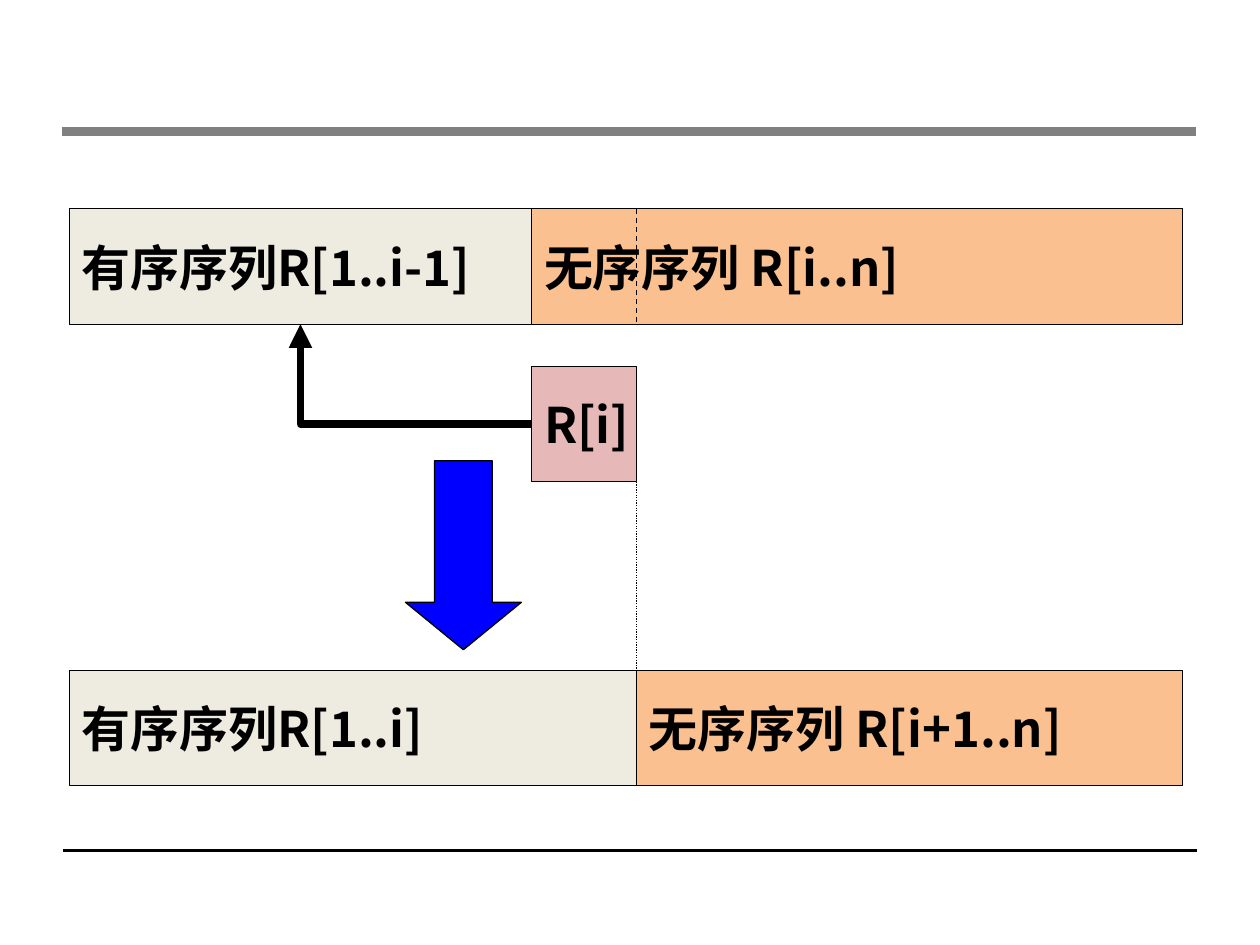
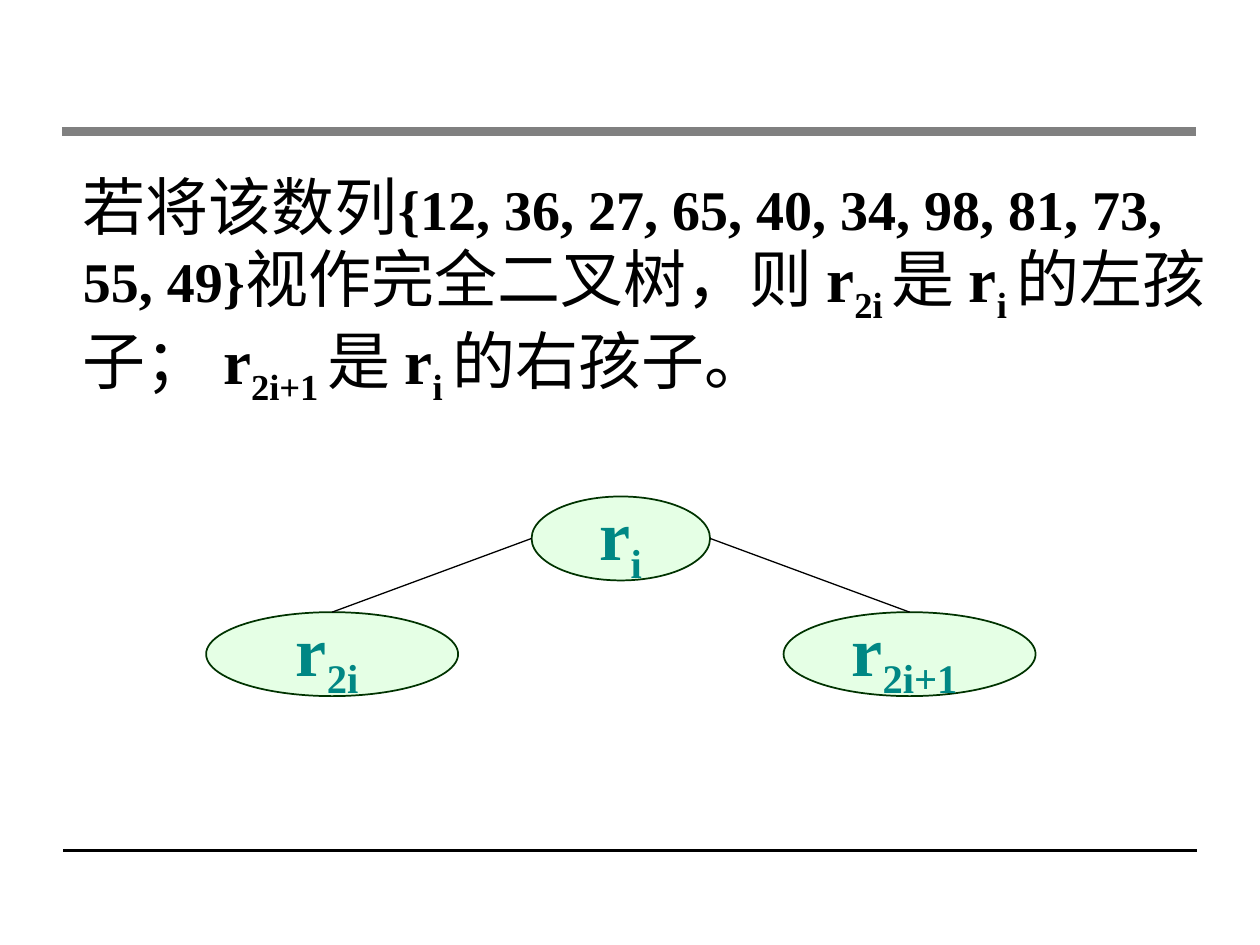
from dataclasses import dataclass

from pptx import Presentation
from pptx.dml.color import RGBColor as RGB
from pptx.enum.dml import MSO_LINE as Dash
from pptx.enum.shapes import MSO_CONNECTOR as Link, MSO_SHAPE as Form
from pptx.enum.text import MSO_ANCHOR as Anchor, MSO_AUTO_SIZE as Auto, PP_ALIGN as Align
from pptx.oxml.ns import qn
from pptx.oxml.xmlchemy import OxmlElement as Node
from pptx.util import Pt


@dataclass(frozen=True)
class Theme:
    black: str = "000000"
    gray: str = "808080"
    sand: str = "EEECE1"
    peach: str = "FAC090"
    rose: str = "E6B9B8"
    blue: str = "0000FF"
    mint: str = "CCFFCC"
    pine: str = "003300"
    teal: str = "008784"
    sans: str = "Noto Sans CJK SC"
    serif: str = "Times New Roman"
    cell: int = 28
    list: int = 32
    body: int = 36
    node: int = 40


T = Theme()


def write(para, runs, font, color):
    """Add runs given as (text, size, bold, subscript)."""
    for text, size, bold, sub in runs:
        run = para.add_run()
        run.text = text
        run.font.size, run.font.bold, run.font.name = Pt(size), bold, font
        run.font.color.rgb = RGB.from_string(color)
        props = run._r.get_or_add_rPr()
        if sub:
            props.set("baseline", "-25000")
        east = Node("a:ea")
        east.set("typeface", T.sans)
        props.find(qn("a:latin")).addnext(east)


def join(page, ends, width=0.75, color=T.black, dash=None, kind=Link.STRAIGHT):
    """Draw a connector between two points."""
    link = page.shapes.add_connector(kind, *map(Pt, ends))
    link.line.width = Pt(width)
    link.line.color.rgb = RGB.from_string(color)
    if dash:
        link.line.dash_style = dash
    link._element.spPr.append(Node("a:effectLst"))
    return link


deck = Presentation()
deck.slide_width, deck.slide_height = Pt(720), Pt(540)

# Both slides share a foot rule and a head rule
sort, tree = pages = [deck.slides.add_slide(deck.slide_layouts[6]) for _ in range(2)]
for page in pages:
    join(page, (36, 486, 684, 486), 2)
    join(page, (35.3, 75, 683.3, 75), 5, T.gray)

# Sequence bars: the border moves from split to step
left, split, step, right = 39.6, 303.8, 363.7, 675.8
top, mid, low, tall = 119.3, 209.3, 383, 66
bars = [
    (left, split, top, T.sand, "有序序列R[1..i-1]"),
    (split, step, mid, T.rose, "R[i]"),
    (split, right, top, T.peach, "无序序列 R[i..n]"),
    (left, step, low, T.sand, "有序序列R[1..i]"),
    (step, right, low, T.peach, "无序序列 R[i+1..n]"),
]
forms = [
    (sort, Form.RECTANGLE, (x, y, end - x, tall), fill, [(text, T.cell, True, False)])
    for x, end, y, fill, text in bars
]
forms.append((sort, Form.DOWN_ARROW, (231.7, 263.3, 66.2, 108), T.blue, []))

# Tree nodes: two children at equal distance from the root
hub, reach, high, root, leaf = 354.8, 165, 48, 102, 144
crown, floor = 283.7, 349.8
nodes = [(0, crown, root, "i"), (-reach, floor, leaf, "2i "), (reach, floor, leaf, "2i+1 ")]
forms += [
    (tree, Form.OVAL, (hub + dx - wide / 2, y, wide, high), T.mint,
     [("r", T.node, True, False), (sub, T.node, True, True)])
    for dx, y, wide, sub in nodes
]

# Draw bars, arrow and nodes
for page, kind, box, fill, runs in forms:
    shape = page.shapes.add_shape(kind, *map(Pt, box))
    oval = kind == Form.OVAL
    shape.shadow.inherit = False
    shape.fill.solid()
    shape.fill.fore_color.rgb = RGB.from_string(fill)
    shape.line.color.rgb = RGB.from_string(T.pine if oval else T.black)
    shape.line.width = Pt(1 if oval else 0.75)
    if kind == Form.DOWN_ARROW:
        shape.adjustments[1] = 0.409
    if oval:
        alpha = Node("a:alpha")
        alpha.set("val", "50000")
        shape._element.spPr.find(qn("a:solidFill"))[0].append(alpha)
    frame = shape.text_frame
    frame.word_wrap, frame.vertical_anchor = False, Anchor.MIDDLE
    para = frame.paragraphs[0]
    para.alignment = Align.CENTER if oval else Align.LEFT
    write(para, runs, T.serif if oval else T.sans, T.teal if oval else T.black)

# Insertion path: a single bend, turned to end at the sorted bar
path = join(sort, (171.7, top + tall, split, 242.2), 4.5, kind=Link.ELBOW)
props = path._element.spPr
props.find(qn("a:prstGeom")).set("prst", "bentConnector2")
props.find(qn("a:xfrm")).set("rot", "10800000")
tip = Node("a:tailEnd")
tip.set("type", "triangle")
props.find(qn("a:ln")).append(tip)

# Guides along the new border
join(sort, (step, top, step, top + tall), dash=Dash.DASH)
join(sort, (step, mid + tall, step, low), dash=Dash.ROUND_DOT)

# Branches from the root to its children
for side in (-1, 1):
    join(tree, (hub + side * root / 2, crown + high / 2, hub + side * reach, floor))

# Statement above the tree
note = tree.shapes.add_textbox(Pt(40.3), Pt(88.5), Pt(660), Pt(147.6))
frame = note.text_frame
frame.word_wrap, frame.auto_size = True, Auto.SHAPE_TO_FIT_TEXT
para = frame.paragraphs[0]
para.line_spacing = Pt(47)
runs = [
    ("若将该数列", T.body, False, False),
    ("{12, 36, 27, 65, 40, 34, 98, 81, 73, 55, 49}", T.list, True, False),
    ("视作完全二叉树，则 ", T.body, False, False),
]
for sub, tail in (("2i ", "是 "), ("i ", "的左孩子； "), ("2i+1 ", "是 "), ("i ", "的右孩子。")):
    runs += [("r", T.body, True, False), (sub, T.body, True, True), (tail, T.body, False, False)]
write(para, runs, T.serif, T.black)

deck.save("out.pptx")
